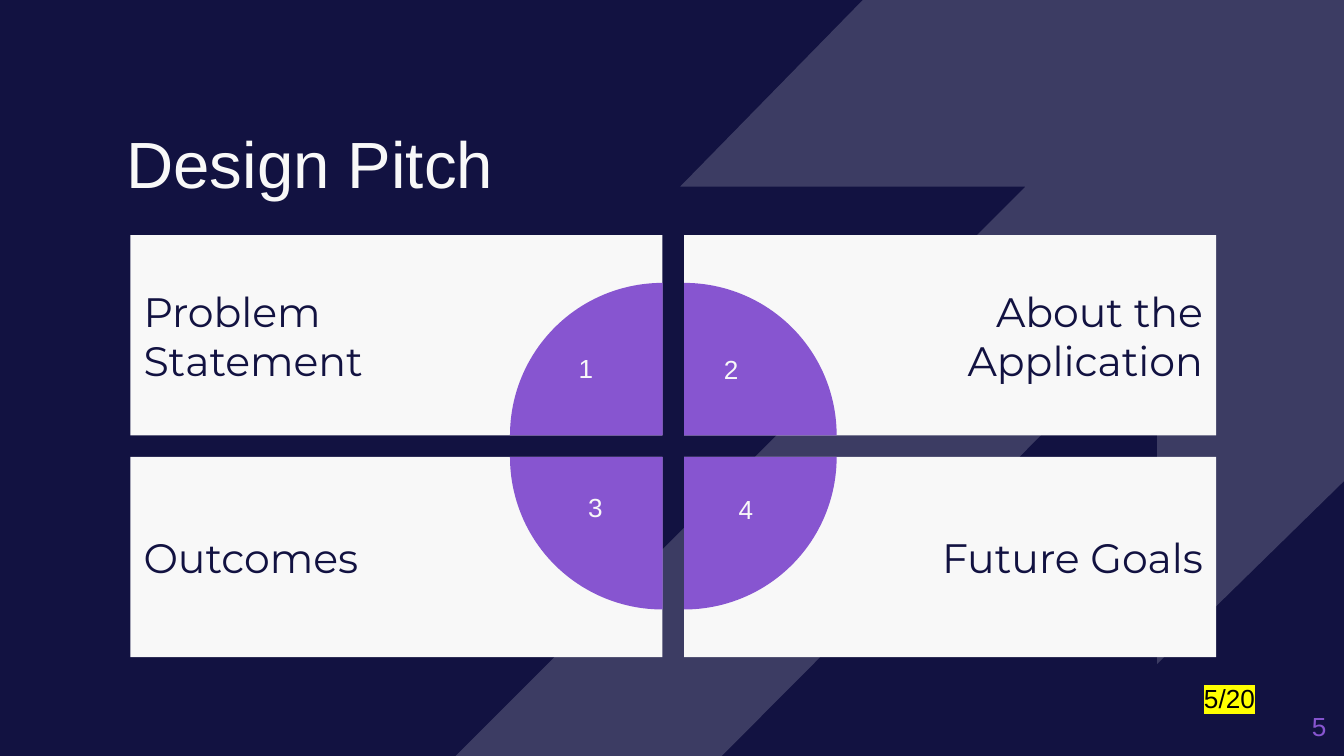
from dataclasses import dataclass

from lxml.etree import SubElement
from pptx import Presentation
from pptx.dml.color import RGBColor
from pptx.enum.shapes import MSO_SHAPE
from pptx.enum.text import MSO_ANCHOR, MSO_AUTO_SIZE, PP_ALIGN
from pptx.oxml import parse_xml
from pptx.oxml.ns import nsdecls, qn
from pptx.util import Inches, Pt

NAVY, WHITE, PURPLE = "121241", "F8F8F8", "8755D0"

# Widescreen page
PAGE_WIDTH = 10
PAGE_HEIGHT = PAGE_WIDTH * 9 / 16

# Grid of cards, and the circle cut into quarters at their inner corners
CARD_LEFT, CARD_TOP = 0.97, 1.75
CARD_WIDTH, CARD_HEIGHT = 3.96, 1.49
GAP = 0.16
DIAMETER = 2.27
NUMBER_WIDTH, NUMBER_HEIGHT = 0.34, 0.48


@dataclass
class Card:
    column: int
    row: int
    label: str
    number: str
    number_center: float
    number_top: float
    rotation: int


CARDS = [
    Card(0, 0, "Problem Statement", "1", 4.36, 2.57, 0),
    Card(1, 0, "About the Application", "2", 5.44, 2.58, 90),
    Card(0, 1, "Outcomes", "3", 4.43, 3.61, 270),
    Card(1, 1, "Future Goals", "4", 5.55, 3.62, 180),
]

BOLT = [(6.42, 0), (5.06, 1.39), (7.63, 1.39), (3.39, PAGE_HEIGHT),
        (5.37, PAGE_HEIGHT), (8.61, 2.37), (8.61, 4.94),
        (PAGE_WIDTH, 3.58), (PAGE_WIDTH, 0)]


def color(value: str) -> RGBColor:
    return RGBColor.from_string(value)


def paint(shape, fill: str) -> None:
    shape.shadow.inherit = False
    shape.fill.solid()
    shape.fill.fore_color.rgb = color(fill)
    shape.line.fill.background()


def write(shape, text: str, *, size: float = 14, font: str = "Arial",
          fill: str = WHITE, align=PP_ALIGN.LEFT, anchor=MSO_ANCHOR.TOP,
          insets=(0.1, 0.05, 0.1, 0.05), space_after: float = 0):
    """Set the text of a shape and return its run."""
    frame = shape.text_frame
    frame.word_wrap = True
    frame.auto_size = MSO_AUTO_SIZE.NONE
    frame.vertical_anchor = anchor
    (frame.margin_left, frame.margin_top,
     frame.margin_right, frame.margin_bottom) = map(Inches, insets)
    para = frame.paragraphs[0]
    para.alignment = align
    para.space_after = Pt(space_after)
    span = para.add_run()
    span.text = text
    span.font.size = Pt(size)
    span.font.name = font
    span.font.color.rgb = color(fill)
    return span


def add_text(page, left: float, top: float, width: float, height: float,
             text: str, **style):
    box = page.shapes.add_textbox(*map(Inches, (left, top, width, height)))
    return write(box, text, **style)


def highlight(span, fill: str) -> None:
    mark = parse_xml(f'<a:highlight {nsdecls("a")}><a:srgbClr val="{fill}"/></a:highlight>')
    span.font._element.find(qn("a:solidFill")).addnext(mark)


def add_bolt(page) -> None:
    start, *rest = [(Inches(x), Inches(y)) for x, y in BOLT]
    builder = page.shapes.build_freeform(*start)
    builder.add_line_segments(rest, close=True)
    bolt = builder.convert_to_shape()
    paint(bolt, "FFFFFF")
    tint = bolt._element.spPr.find(qn("a:solidFill")).find(qn("a:srgbClr"))
    SubElement(tint, qn("a:alpha"), val="18000")


def add_card(page, card: Card) -> None:
    left = CARD_LEFT + card.column * (CARD_WIDTH + GAP)
    top = CARD_TOP + card.row * (CARD_HEIGHT + GAP)
    box = page.shapes.add_shape(
        MSO_SHAPE.RECTANGLE, *map(Inches, (left, top, CARD_WIDTH, CARD_HEIGHT)))
    paint(box, WHITE)
    on_right = card.column == 1
    write(box, card.label, size=22, font="Montserrat", fill=NAVY,
          align=PP_ALIGN.RIGHT if on_right else PP_ALIGN.LEFT,
          anchor=MSO_ANCHOR.MIDDLE, space_after=6,
          insets=(1.5, 0.1, 0.1, 0.1) if on_right else (0.1, 0.1, 1.5, 0.1))


def add_quarter(page, card: Card) -> None:
    center_x = CARD_LEFT + CARD_WIDTH + card.column * GAP
    center_y = CARD_TOP + CARD_HEIGHT + card.row * GAP
    quarter = page.shapes.add_shape(
        MSO_SHAPE.PIE, Inches(center_x - DIAMETER / 2),
        Inches(center_y - DIAMETER / 2), Inches(DIAMETER), Inches(DIAMETER))
    # Angles from 180 to 270 degrees
    quarter.adjustments[0] = 108
    quarter.adjustments[1] = 162
    quarter.rotation = card.rotation
    paint(quarter, PURPLE)


def main() -> None:
    deck = Presentation()
    deck.slide_width, deck.slide_height = Inches(PAGE_WIDTH), Inches(PAGE_HEIGHT)
    page = deck.slides.add_slide(deck.slide_layouts[5])

    # Background
    page.background.fill.solid()
    page.background.fill.fore_color.rgb = color(NAVY)
    add_bolt(page)

    # Title
    title = page.shapes.title
    title.left, title.top = Inches(0.94), Inches(0.95)
    title.width, title.height = Inches(6.69), Inches(0.55)
    write(title, "Design Pitch", size=35, anchor=MSO_ANCHOR.BOTTOM,
          insets=(0, 0, 0, 0))

    # Cards, then the quarters and numbers on top
    for card in CARDS:
        add_card(page, card)
    for card in CARDS:
        add_quarter(page, card)
    for card in CARDS:
        add_text(page, card.number_center - NUMBER_WIDTH / 2, card.number_top,
                 NUMBER_WIDTH, NUMBER_HEIGHT, card.number, align=PP_ALIGN.CENTER)

    # Progress and page number
    progress = add_text(page, 8.86, 5.03, 1.09, 0.34, "5/20", fill="000000")
    highlight(progress, "FFFF00")
    add_text(page, 9.27, 5.19, 0.6, 0.43, "5", fill=PURPLE, align=PP_ALIGN.RIGHT,
             anchor=MSO_ANCHOR.MIDDLE, insets=(0, 0, 0, 0))

    deck.save("out.pptx")


if __name__ == "__main__":
    main()
